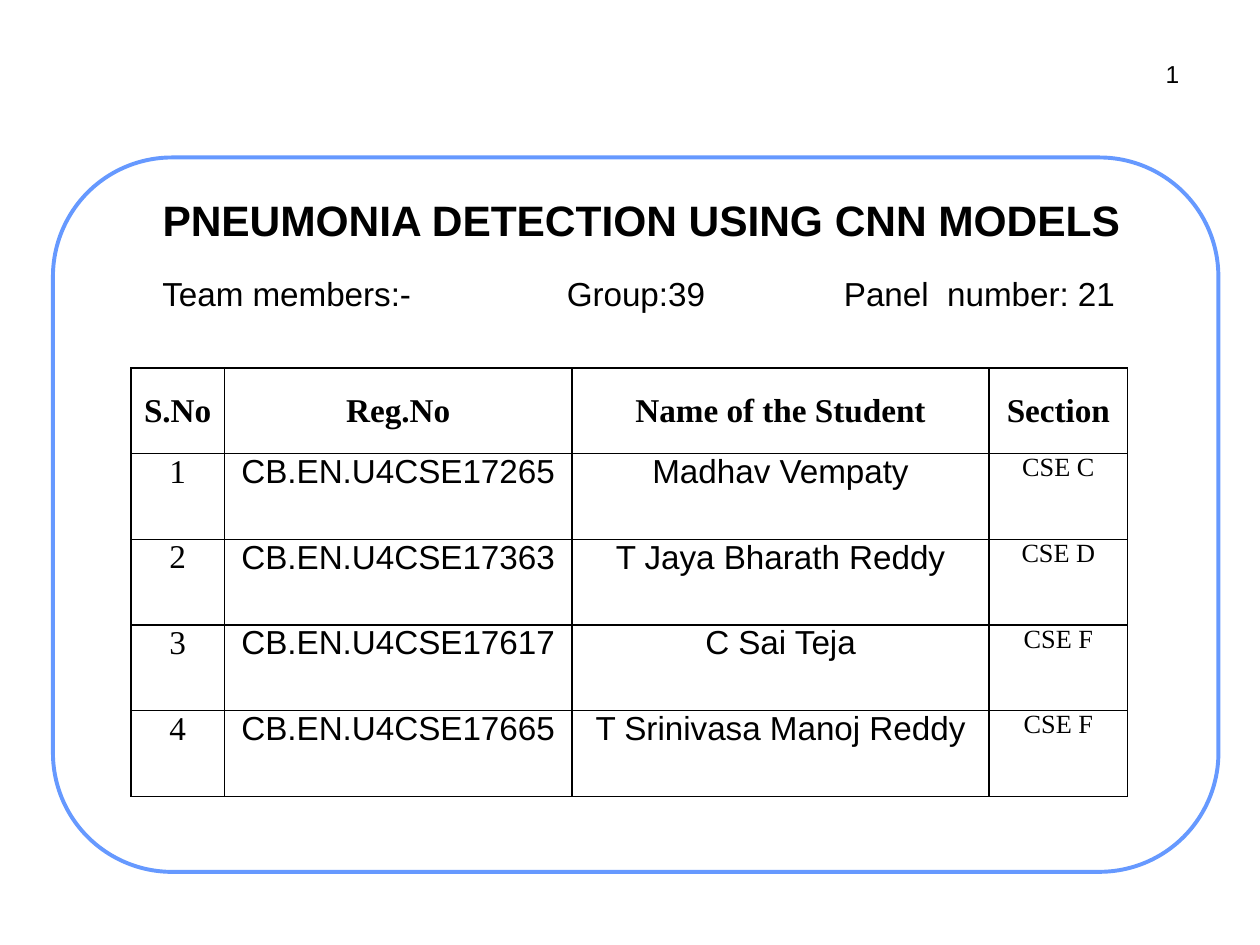
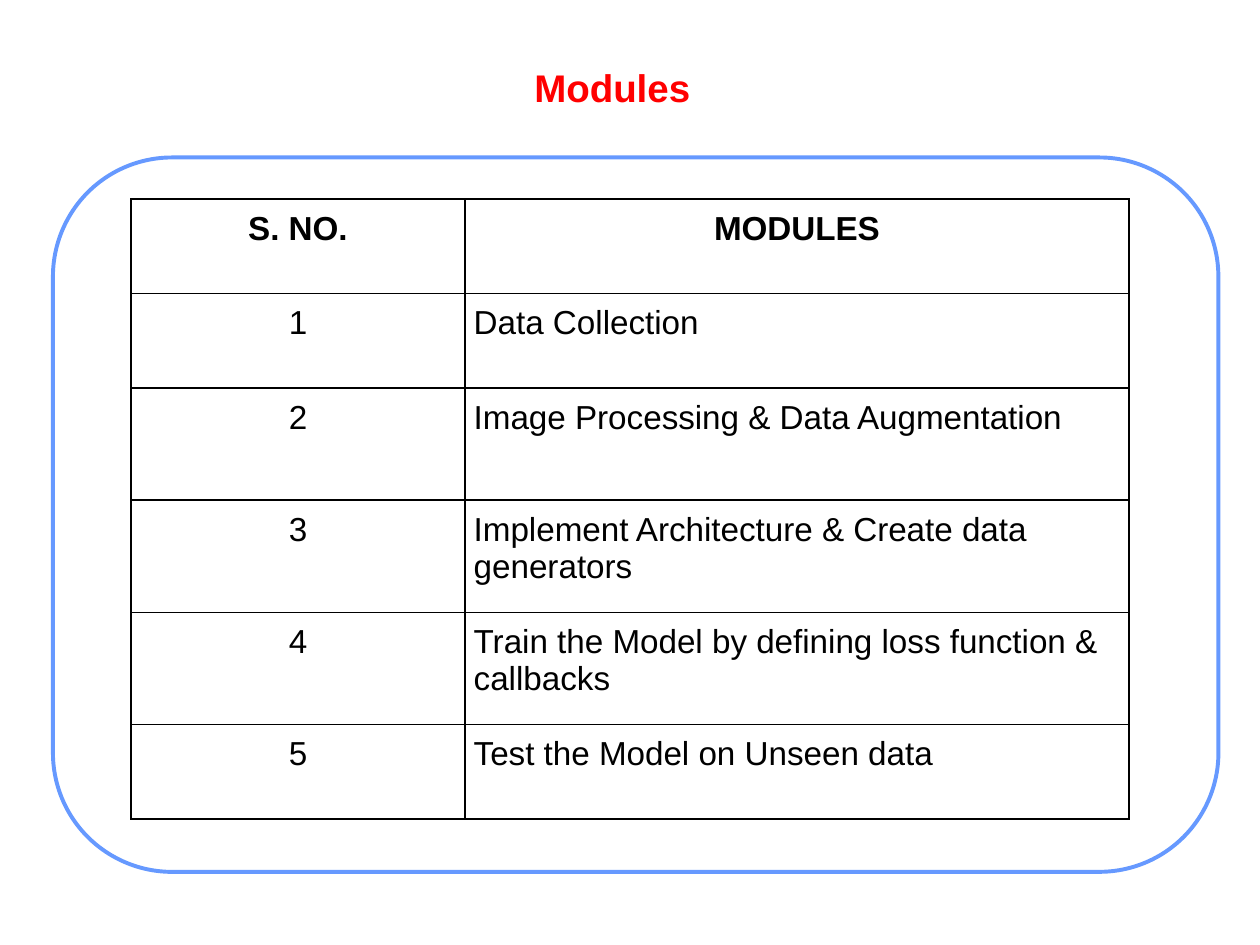
from lxml import etree
from pptx import Presentation
from pptx.dml.color import RGBColor
from pptx.enum import shapes, text
from pptx.oxml.ns import qn
from pptx.util import Inches, Pt

# Content
TITLE = "PNEUMONIA DETECTION USING CNN MODELS"
TEAM_LINE = ["Team members:-", "Group:39", "Panel  number: 21"]
TEAM_TABS = [3.21, 5.41]
STUDENTS = [
    ("S.No", "Reg.No", "Name of the Student", "Section"),
    ("1", "CB.EN.U4CSE17265", "Madhav Vempaty", "CSE C"),
    ("2", "CB.EN.U4CSE17363", "T Jaya Bharath Reddy", "CSE D"),
    ("3", "CB.EN.U4CSE17617", "C Sai Teja", "CSE F"),
    ("4", "CB.EN.U4CSE17665", "T Srinivasa Manoj Reddy", "CSE F"),
]
MODULES = [
    ("S. NO.", "MODULES"),
    ("1", "Data Collection"),
    ("2", "Image Processing & Data Augmentation"),
    ("3", "Implement Architecture & Create data generators"),
    ("4", "Train the Model by defining loss function & callbacks"),
    ("5", "Test the Model on Unseen data"),
]

# Shared look
BLACK = RGBColor(0, 0, 0)
WHITE = RGBColor(0xFF, 0xFF, 0xFF)
RED = RGBColor(0xFF, 0, 0)
BLUE = RGBColor(0x66, 0x99, 0xFF)
SANS, SERIF = "Arial", "Times New Roman"
LEFT, CENTER, RIGHT = (text.PP_ALIGN.LEFT, text.PP_ALIGN.CENTER,
                       text.PP_ALIGN.RIGHT)
TOP, MIDDLE = text.MSO_ANCHOR.TOP, text.MSO_ANCHOR.MIDDLE
TABLE_LEFT = 1.04
BODY_SIZE = 19


def write(tf, words, size=BODY_SIZE, font=SANS, color=BLACK, bold=False,
          align=LEFT):
    """Put one formatted paragraph into a text frame and return it."""
    p = tf.paragraphs[0]
    p.alignment = align
    r = p.add_run()
    r.text = words
    r.font.size, r.font.name, r.font.bold = Pt(size), font, bold
    r.font.color.rgb = color
    return p


def add_text(slide, box, words, inset=0.05, anchor=TOP, **fmt):
    tf = slide.shapes.add_textbox(*map(Inches, box)).text_frame
    tf.word_wrap = True
    tf.vertical_anchor = anchor
    tf.margin_left = tf.margin_right = Inches(inset)
    tf.margin_top = tf.margin_bottom = Inches(inset)
    return write(tf, words, **fmt)


def add_framed_slide(prs):
    slide = prs.slides.add_slide(prs.slide_layouts[6])
    sp = slide.shapes.add_shape(shapes.MSO_SHAPE.ROUNDED_RECTANGLE,
                                *map(Inches, (0.42, 1.25, 9.25, 5.67)))
    sp.adjustments[0] = 1 / 6
    sp.shadow.inherit = False
    sp.fill.solid()
    sp.fill.fore_color.rgb = WHITE
    sp.line.color.rgb = BLUE
    sp.line.width = Pt(2.25)
    return slide


def add_borders(cell):
    pr = cell._tc.get_or_add_tcPr()
    for i, side in enumerate(("lnL", "lnR", "lnT", "lnB")):
        ln = etree.Element(qn("a:" + side), w=str(Pt(1)))
        fill = etree.SubElement(ln, qn("a:solidFill"))
        etree.SubElement(fill, qn("a:srgbClr"), val=str(BLACK))
        pr.insert(i, ln)


def add_grid(slide, top, rows, widths, heights, inset, cell_format):
    """Draw a ruled table; cell_format(row, col) gives anchor and text format."""
    table = slide.shapes.add_table(
        len(rows), len(widths), Inches(TABLE_LEFT), Inches(top),
        Inches(sum(widths)), Inches(sum(heights))).table
    for column, width in zip(table.columns, widths):
        column.width = Inches(width)
    for i, (row, height) in enumerate(zip(rows, heights)):
        table.rows[i].height = Inches(height)
        for j, words in enumerate(row):
            cell = table.cell(i, j)
            cell.margin_left = cell.margin_right = Inches(inset[0])
            cell.margin_top = cell.margin_bottom = Inches(inset[1])
            cell.fill.background()
            add_borders(cell)
            anchor, fmt = cell_format(i, j)
            cell.vertical_anchor = anchor
            write(cell.text_frame, words, bold=i == 0, **fmt)


def student_format(row, col):
    if row == 0:
        return MIDDLE, dict(font=SERIF, align=CENTER)
    return TOP, dict(font=SANS if col in (1, 2) else SERIF,
                     size=15 if col == 3 else BODY_SIZE, align=CENTER)


def module_format(row, col):
    return TOP, dict(align=CENTER if row == 0 or col == 0 else LEFT)


def build_team_slide(prs):
    slide = add_framed_slide(prs)
    add_text(slide, (9.01, 0.42, 0.4, 0.32), "1", size=14, align=RIGHT)
    add_text(slide, (1.24, 1.5, 8.6, 0.48), TITLE, anchor=MIDDLE,
             size=24.3, bold=True)
    p = add_text(slide, (1.19, 2.07, 8.04, 0.52), "\t".join(TEAM_LINE),
                 inset=0.1)
    # Tab stops line up the three parts of the team line
    tabs = etree.SubElement(p._p.get_or_add_pPr(), qn("a:tabLst"))
    for pos in TEAM_TABS:
        etree.SubElement(tabs, qn("a:tab"), pos=str(Inches(pos)), algn="l")
    add_grid(slide, 2.92, STUDENTS, [0.74, 2.76, 3.31, 1.1],
             [0.68] * len(STUDENTS), (0, 0), student_format)


def build_modules_slide(prs):
    slide = add_framed_slide(prs)
    add_text(slide, (0.64, 0.39, 8.44, 0.6), "Modules", anchor=MIDDLE,
             size=22, color=RED, bold=True, align=CENTER)
    add_grid(slide, 1.58, MODULES, [2.65, 5.27],
             [0.75] * 2 + [0.89] * 3 + [0.75], (0.07, 0.09), module_format)


def main():
    prs = Presentation()
    prs.slide_width, prs.slide_height = Inches(10), Inches(7.5)
    build_team_slide(prs)
    build_modules_slide(prs)
    prs.save("out.pptx")


if __name__ == "__main__":
    main()
